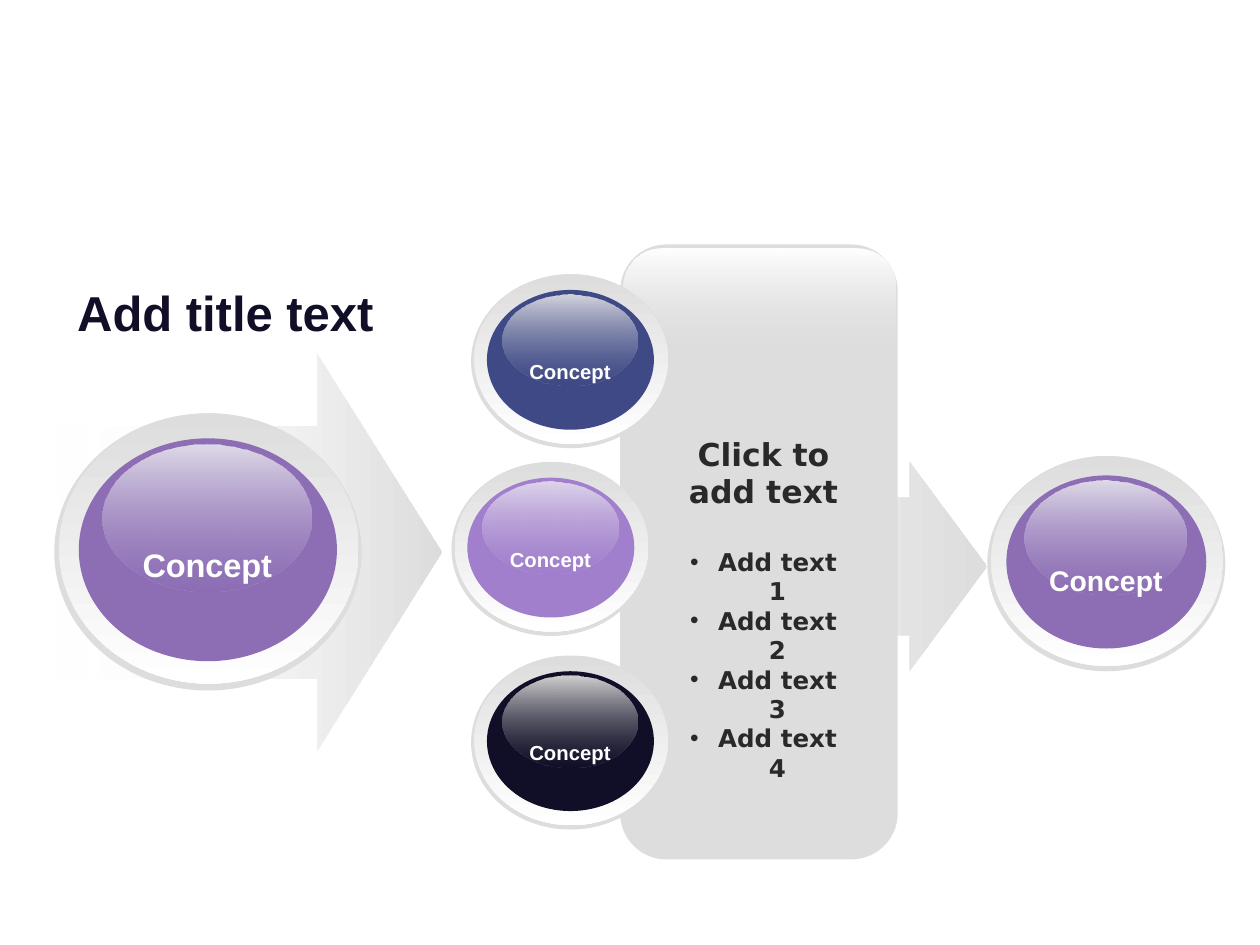
from lxml.etree import SubElement as Sub
from pptx import Presentation
from pptx.dml.color import RGBColor as RGB
from pptx.enum.shapes import MSO_SHAPE as Kind
from pptx.enum.text import MSO_ANCHOR as Anchor, MSO_AUTO_SIZE as Auto, PP_ALIGN as Align
from pptx.oxml.ns import qn
from pptx.util import Pt

HUES = {
    "white": "FFFFFF", "grey": "DDDDDD", "text": "292929", "navy": "110F27",
    "plum": "8D6EB5", "lilac": "A17FCC", "blue": "3E4985",
}
# Highlight at the top of each glossy disc
GLOSS = {"plum": "DFDAE8", "navy": "D3D3D3", "lilac": "DED5EB", "blue": "D4D5DD"}

# Left, top, width, height, hue, label size
ORBS = [
    (31, 236.2, 175.6, 158.4, "plum", 32),
    (269.2, 374.6, 113.6, 99.4, "navy", 20),
    (258, 264, 113.6, 99.4, "lilac", 20),
    (269.2, 156.7, 113.6, 99.4, "blue", 20),
    (564.2, 260.6, 136, 123, "plum", 28),
]


def plain(shape, hue):
    shape.shadow.inherit = False
    shape.line.fill.background()
    shape.fill.solid()
    shape.fill.fore_color.rgb = RGB.from_string(hue)


def fade(shape, first, last, angle, clear=None):
    """Two-stop gradient; clear is (stop index, opacity in percent)."""
    shape.shadow.inherit = False
    shape.line.fill.background()
    shape.fill.gradient()
    shape.fill.gradient_angle = angle
    for stop, hue in zip(shape.fill.gradient_stops, (first, last)):
        stop.color.rgb = RGB.from_string(hue)
    if clear:
        index, part = clear
        tones = list(shape._element.spPr.iter(qn("a:srgbClr")))
        Sub(tones[index], qn("a:alpha"), val=str(part * 1000))


def write(para, text, size, font, hue):
    run = para.add_run()
    run.text = text
    run.font.size = Pt(size)
    run.font.name = font
    run.font.bold = True
    run.font.color.rgb = RGB.from_string(HUES[hue])
    return run


def frame(shapes, x, y, w, h):
    text = shapes.add_textbox(Pt(x), Pt(y), Pt(w), Pt(h)).text_frame
    text.word_wrap = True
    text.auto_size = Auto.SHAPE_TO_FIT_TEXT
    return text


def title(slide, x, y, w, h):
    box = slide.shapes.title
    box.left, box.top, box.width, box.height = Pt(x), Pt(y), Pt(w), Pt(h)
    text = box.text_frame
    text.vertical_anchor = Anchor.MIDDLE
    para = text.paragraphs[0]
    para.alignment = Align.LEFT
    write(para, "Add title text", 28, "Arial", "navy")


def arrow(slide, x, y, w, h, neck, head, clear=None):
    """Arrow with two loose bars at its tail; neck and head are shares."""
    low = 1 - neck
    parts = [
        [(head, 0), (head, neck), (0.16, neck), (0.16, low),
         (head, low), (head, 1), (1, 0.5)],
    ]
    for a, b in ((0.06, 0.125), (0, 0.03)):
        parts.append([(a, neck), (a, low), (b, low), (b, neck)])
    draw = None
    for part in parts:
        spots = [(Pt(x + w * u), Pt(y + h * v)) for u, v in part]
        if draw is None:
            draw = slide.shapes.build_freeform(*spots[0])
        else:
            draw.move_to(*spots[0])
        draw.add_line_segments(spots[1:], close=True)
    fade(draw.convert_to_shape(), HUES["white"], HUES["grey"], 0, clear)


def panel(slide, x, y, w, h):
    shapes = slide.shapes.add_group_shape().shapes
    back = shapes.add_shape(Kind.ROUNDED_RECTANGLE, Pt(x), Pt(y), Pt(w), Pt(h))
    back.adjustments[0] = 0.167
    plain(back, HUES["grey"])
    shine = shapes.add_shape(Kind.ROUNDED_RECTANGLE, Pt(x + 2), Pt(y + 2.2),
                             Pt(w - 3.4), Pt(66.2))
    shine.adjustments[0] = 0.326
    fade(shine, HUES["white"], HUES["grey"], 270, (1, 0))


def notes(slide, x, y, w, h):
    text = frame(slide.shapes, x, y, w, h)
    para = text.paragraphs[0]
    para.alignment = Align.CENTER
    para.space_after = Pt(21)
    write(para, "Click to add text", 18, "DejaVu Sans", "text")
    for n in range(1, 5):
        para = text.add_paragraph()
        para.alignment = Align.CENTER
        write(para, f"Add text {n}", 14, "DejaVu Sans", "text")
        props = para._p.get_or_add_pPr()
        props.set("marL", str(Pt(16)))
        props.set("indent", str(-Pt(16)))
        Sub(props, qn("a:buFont"), typeface="Arial")
        Sub(props, qn("a:buChar"), char="•")


def orb(slide, x, y, w, h, hue, size):
    shapes = slide.shapes.add_group_shape().shapes

    def disc(u, v, p, q):
        return shapes.add_shape(Kind.OVAL, Pt(x + w * u), Pt(y + h * v),
                                Pt(w * p), Pt(h * q))

    # Rim, ring, core and gloss
    plain(disc(0, 0, 1, 1), HUES["grey"])
    fade(disc(0.016, 0, 0.975, 0.975), HUES["grey"], HUES["white"], 270)
    plain(disc(0.08, 0.09, 0.84, 0.804), HUES[hue])
    fade(disc(0.158, 0.114, 0.68, 0.528), GLOSS[hue], HUES[hue], 270, (1, 37))
    # Label
    text = frame(shapes, x + w * 0.158, y + h * 0.318, w * 0.68, size + 2)
    para = text.paragraphs[0]
    para.alignment = Align.CENTER
    run = write(para, "Concept", size, "Arial", "white")
    run._r.get_or_add_rPr().set("baseline", "-25000")


def main():
    deck = Presentation()
    deck.slide_width, deck.slide_height = Pt(720), Pt(540)
    slide = deck.slides.add_slide(deck.slide_layouts[5])
    title(slide, 36.9, 154, 232.6, 48.2)
    arrow(slide, 354.2, 264.2, 209.8, 119, 0.17, 0.79)
    panel(slide, 354.4, 139.7, 158.6, 351.4)
    arrow(slide, 19.6, 202.3, 232.6, 226.8, 0.182, 0.693, (0, 0))
    notes(slide, 382.3, 244.8, 108, 155.5)
    for spot in ORBS:
        orb(slide, *spot)
    deck.save("out.pptx")


if __name__ == "__main__":
    main()
